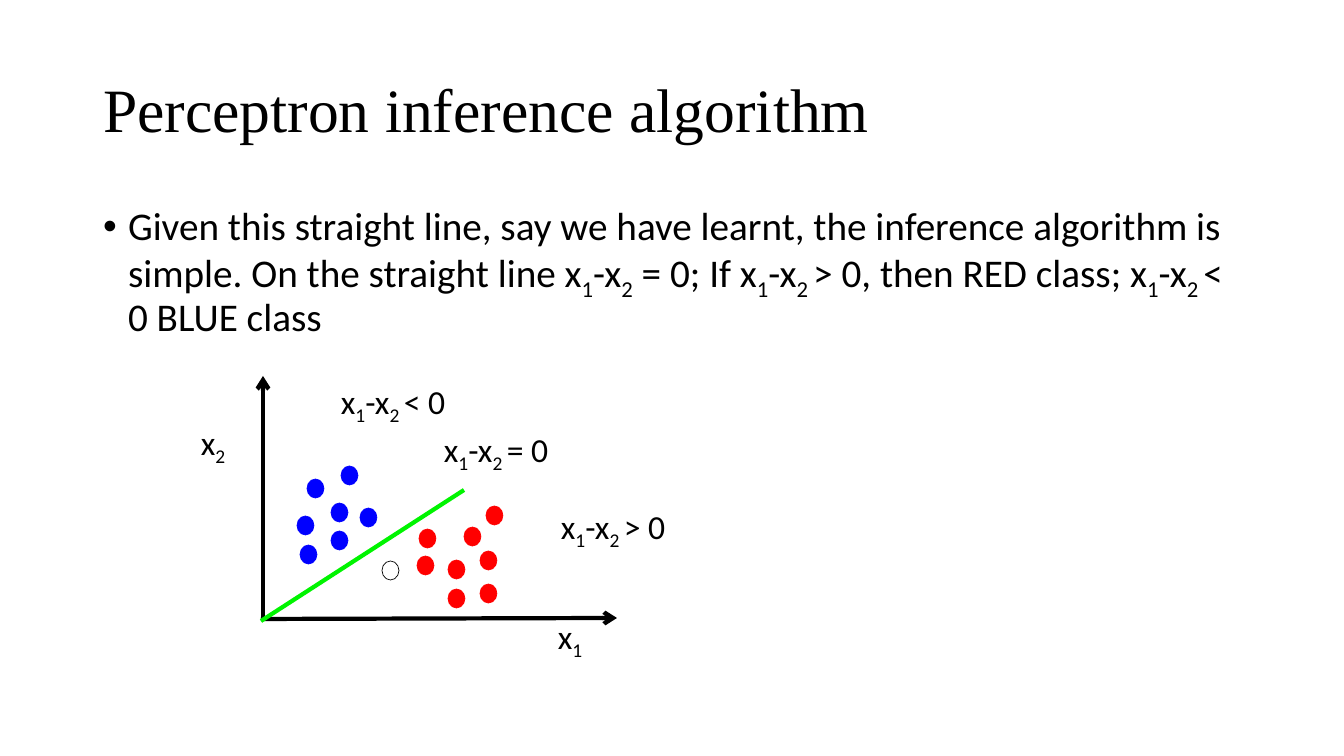
from dataclasses import dataclass

from lxml.etree import SubElement
from pptx import Presentation
from pptx.dml.color import RGBColor as RGB
from pptx.enum.shapes import MSO_CONNECTOR as CONNECTOR, MSO_SHAPE as SHAPE
from pptx.enum.text import MSO_ANCHOR as ANCHOR, MSO_AUTO_SIZE as FIT, PP_ALIGN as ALIGN
from pptx.oxml.ns import qn
from pptx.util import Inches, Pt

EMU_PER_PX = Inches(1) / 100.8


def px(length):
    return round(length * EMU_PER_PX)


@dataclass(frozen=True)
class Theme:
    ink: RGB = RGB(0x00, 0x00, 0x00)
    red: RGB = RGB(0xFF, 0x00, 0x00)
    blue: RGB = RGB(0x00, 0x00, 0xFF)
    green: RGB = RGB(0x00, 0xF4, 0x00)
    title_font: str = "Times New Roman"
    text_font: str = "Calibri"
    title_size: int = 44
    body_size: int = 28
    label_size: int = 24
    line_width: float = 3
    dot_outline: float = 0.5
    line_spacing: float = 0.9


class SlideBuilder:
    def __init__(self, slide, theme):
        self.slide = slide
        self.theme = theme

    def add_runs(self, paragraph, text, size, font):
        """Add runs; every second part between ~ marks is a subscript."""
        for index, part in enumerate(text.split("~")):
            if not part:
                continue
            run = paragraph.add_run()
            run.text = part
            run.font.size = Pt(size)
            run.font.name = font
            run.font.color.rgb = self.theme.ink
            if index % 2:
                run.font._element.set("baseline", "-25000")

    def fill_placeholder(self, index, box, anchor, text, size, font):
        holder = self.slide.placeholders[index]
        holder.left, holder.top, holder.width, holder.height = map(px, box)
        frame = holder.text_frame
        frame.word_wrap = True
        frame.auto_size = FIT.NONE
        frame.vertical_anchor = anchor
        paragraph = frame.paragraphs[0]
        paragraph.alignment = ALIGN.LEFT
        paragraph.line_spacing = self.theme.line_spacing
        paragraph.space_before = Pt(0)
        self.add_runs(paragraph, text, size, font)
        return paragraph

    def title(self, box, text):
        self.fill_placeholder(0, box, ANCHOR.MIDDLE, text,
                              self.theme.title_size, self.theme.title_font)

    def bullet(self, box, text, indent):
        paragraph = self.fill_placeholder(1, box, ANCHOR.TOP, text,
                                          self.theme.body_size, self.theme.text_font)
        properties = paragraph._p.get_or_add_pPr()
        properties.set("marL", str(px(indent)))
        properties.set("indent", str(-px(indent)))
        SubElement(properties, qn("a:buFont"), typeface="Arial")
        SubElement(properties, qn("a:buChar"), char="•")

    def label(self, left, top, width, text):
        box = self.slide.shapes.add_textbox(px(left), px(top), px(width), px(50))
        box.text_frame.word_wrap = False
        box.text_frame.auto_size = FIT.SHAPE_TO_FIT_TEXT
        self.add_runs(box.text_frame.paragraphs[0], text,
                      self.theme.label_size, self.theme.text_font)

    def line(self, start, end, color, arrow=False):
        connector = self.slide.shapes.add_connector(
            CONNECTOR.STRAIGHT, *map(px, start + end))
        connector.line.color.rgb = color
        connector.line.width = Pt(self.theme.line_width)
        if arrow:
            SubElement(connector.line._get_or_add_ln(), qn("a:tailEnd"), type="arrow")
        SubElement(connector._element.spPr, qn("a:effectLst"))

    def dot(self, left, top, outline, fill=None):
        point = self.slide.shapes.add_shape(
            SHAPE.OVAL, px(left), px(top), px(17), px(19))
        point.shadow.inherit = False
        if fill is None:
            point.fill.background()
        else:
            point.fill.solid()
            point.fill.fore_color.rgb = fill
        point.line.color.rgb = outline
        point.line.width = Pt(self.theme.dot_outline)


RED_POINTS = [(464, 527), (480, 551), (480, 584), (419, 529),
              (448, 560), (417, 556), (448, 589), (486, 506)]
BLUE_POINTS = [(331, 531), (300, 545), (307, 479), (297, 516),
               (360, 508), (331, 503), (341, 466)]
LABELS = [
    (548, 611, 46, "x~1"),
    (191, 417, 46, "x~2"),
    (551, 501, 130, "x~1~-x~2 ~> 0"),
    (331, 376, 130, "x~1~-x~2 ~< 0"),
    (434, 424, 130, "x~1~-x~2 ~= 0"),
]


def main():
    deck = Presentation()
    deck.slide_width, deck.slide_height = px(1344), px(756)
    theme = Theme()
    builder = SlideBuilder(deck.slides.add_slide(deck.slide_layouts[1]), theme)

    builder.title((93, 40, 1159, 146), "Perceptron inference algorithm")
    builder.bullet(
        (93, 202, 1159, 480),
        "Given this straight line, say we have learnt, the inference algorithm is "
        "simple. On the straight line x~1~-x~2~ = 0; If x~1~-x~2 ~> 0, "
        "then RED class; x~1~-x~2 ~< 0 BLUE class",
        indent=25)

    builder.line((261, 619), (617, 618), theme.ink, arrow=True)
    builder.line((263, 617), (263, 376), theme.ink, arrow=True)
    for color, points in ((theme.red, RED_POINTS), (theme.blue, BLUE_POINTS)):
        for left, top in points:
            builder.dot(left, top, color, fill=color)
    builder.line((261, 621), (464, 490), theme.green)
    for label in LABELS:
        builder.label(*label)
    builder.dot(382, 561, theme.ink)

    deck.save("out.pptx")


if __name__ == "__main__":
    main()
